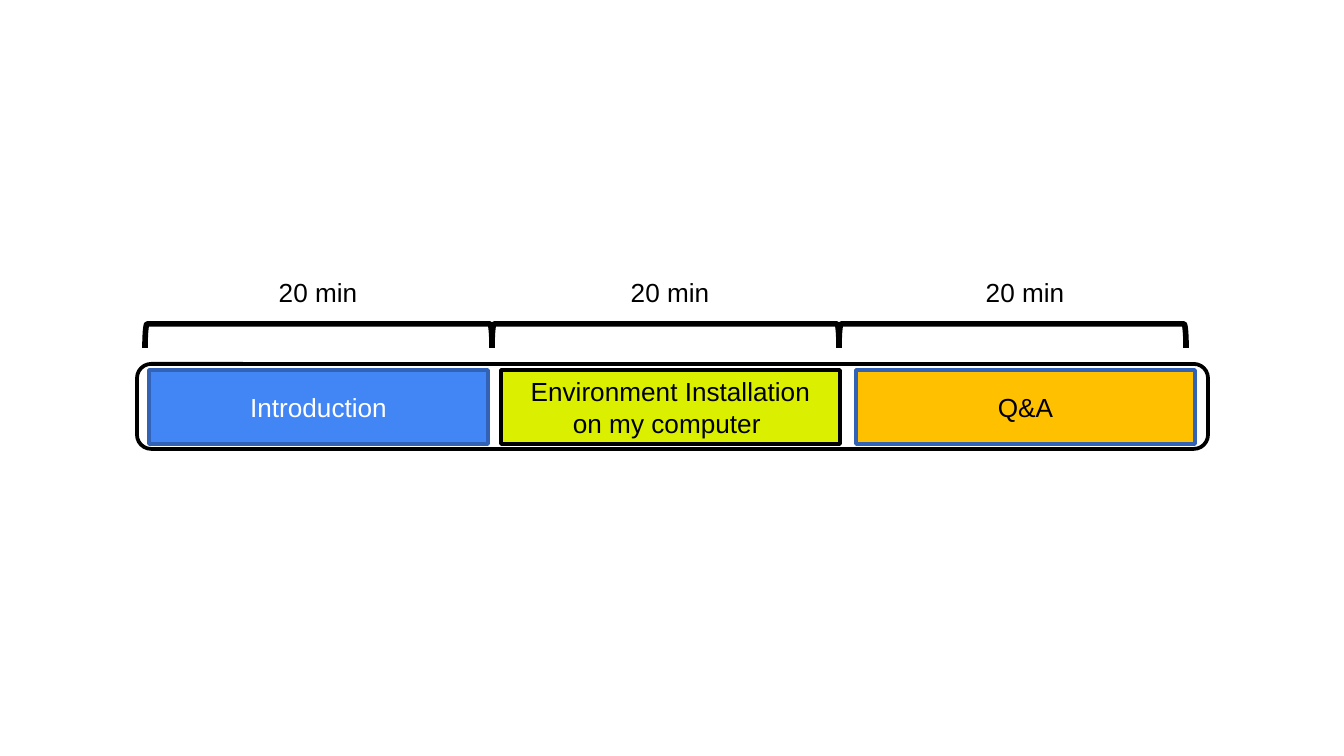
"""Build a one-hour agenda slide with three timed parts."""
from pptx import Presentation
from pptx.dml.color import RGBColor as Color
from pptx.enum.shapes import MSO_SHAPE as Shape
from pptx.enum.text import MSO_ANCHOR as Anchor, MSO_AUTO_SIZE as Fit, PP_ALIGN as Align
from pptx.util import Pt

PARTS = [
    dict(lines=["Introduction"], time="20 min", left=149, fill="blue", edge="navy", ink="white"),
    dict(lines=["Environment Installation", "on my computer "], time="20 min",
         left=501, fill="lime", edge="black", ink="black"),
    dict(lines=["Q&A"], time="20 min", left=856, fill="amber", edge="navy", ink="black"),
]
THEME = dict(
    white="FFFFFF", black="000000", blue="4285F4", navy="3162B5", lime="DBF000", amber="FFC000",
    font="Arial", size=14, edge=2, brace=3,
)
SCALE = 914400 / 134.4
FRAME = (137, 364, 1071, 85)
BAR_TOP, BAR_W, BAR_H = 370, 339, 74
SPAN, DEPTH, SPAN_LEFT, SPAN_MID = 347, 24, 145, 336
TAG_TOP, TAG_W, TAG_H = 270, 106, 46


def px(*nums):
    return [round(n * SCALE) for n in nums]


def tint(name):
    return Color.from_string(THEME[name])


def draw(slide, kind, box, fill, edge, width):
    shape = slide.shapes.add_shape(kind, *px(*box))
    shape.shadow.inherit = False
    if fill:
        shape.fill.solid()
        shape.fill.fore_color.rgb = tint(fill)
    else:
        shape.fill.background()
    shape.line.color.rgb = tint(edge)
    shape.line.width = Pt(width)
    return shape


def write(shape, lines, ink, align, **style):
    frame = shape.text_frame
    for key, value in style.items():
        setattr(frame, key, value)
    frame.text = "\n".join(lines)
    look = dict(name=THEME["font"], size=Pt(THEME["size"]))
    for para in frame.paragraphs:
        para.alignment = align
        font = para.runs[0].font
        for key, value in look.items():
            setattr(font, key, value)
        font.color.rgb = tint(ink)


def main():
    deck = Presentation()
    deck.slide_width, deck.slide_height = px(1344, 756)
    slide = deck.slides.add_slide(deck.slide_layouts[6])
    draw(slide, Shape.ROUNDED_RECTANGLE, FRAME, "white", "black", THEME["edge"])
    for part in PARTS:
        box = (part["left"], BAR_TOP, BAR_W, BAR_H)
        bar = draw(slide, Shape.RECTANGLE, box, part["fill"], part["edge"], THEME["edge"])
        write(bar, part["lines"], part["ink"], Align.CENTER,
              word_wrap=True, vertical_anchor=Anchor.MIDDLE)
    for i, part in enumerate(PARTS):
        mid = SPAN_LEFT + SPAN * (i + 0.5)
        box = (mid - DEPTH / 2, SPAN_MID - SPAN / 2, DEPTH, SPAN)
        brace = draw(slide, Shape.LEFT_BRACKET, box, None, "black", THEME["brace"])
        brace.rotation = 90
        left = part["left"] + (BAR_W - TAG_W) / 2
        tag = slide.shapes.add_textbox(*px(left, TAG_TOP, TAG_W, TAG_H))
        write(tag, [part["time"]], "black", Align.LEFT,
              word_wrap=False, auto_size=Fit.SHAPE_TO_FIT_TEXT)
    deck.save("out.pptx")


if __name__ == "__main__":
    main()
